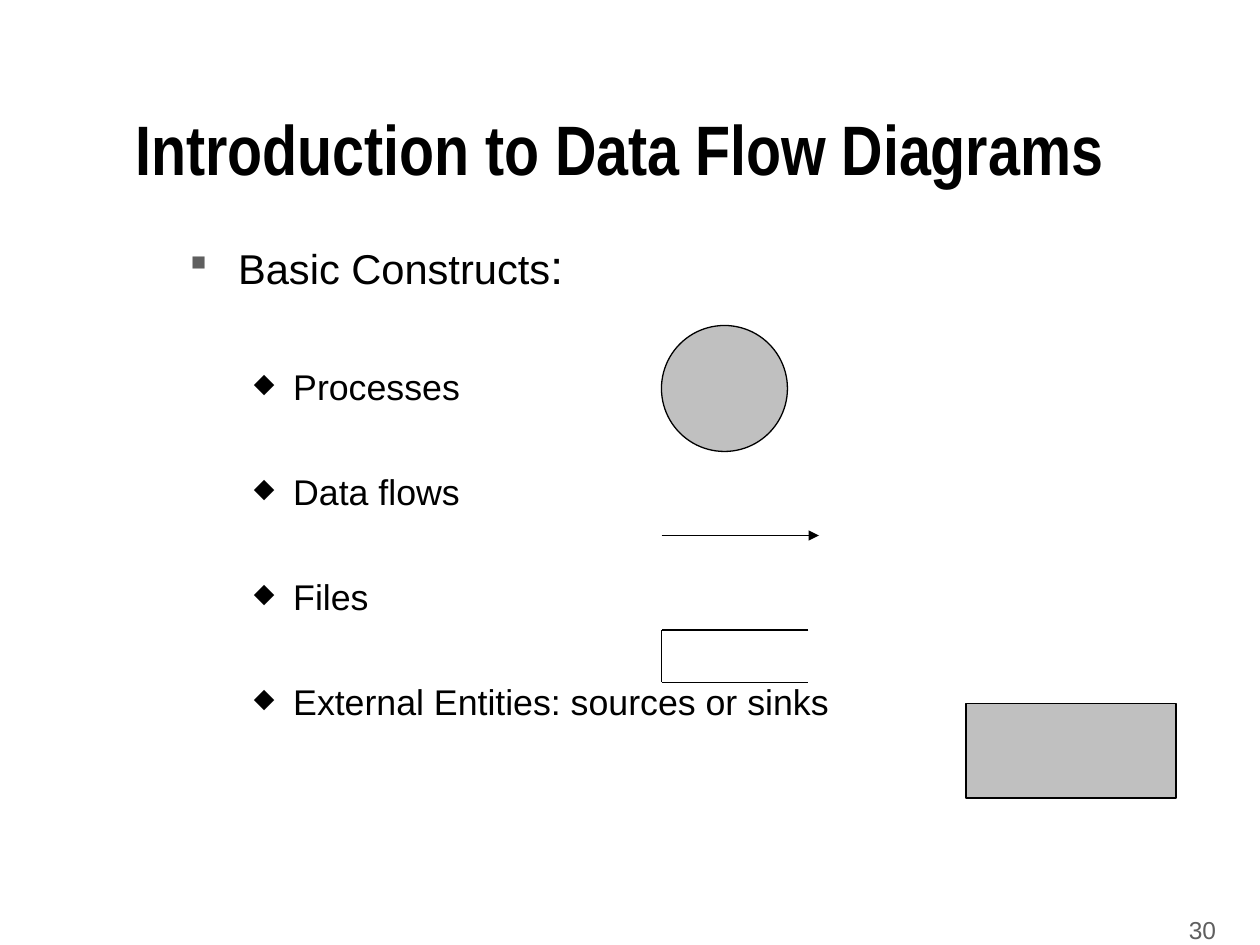
from dataclasses import dataclass

from lxml import etree
from pptx import Presentation
from pptx.dml.color import RGBColor
from pptx.enum.shapes import MSO_CONNECTOR, MSO_SHAPE
from pptx.enum.text import MSO_ANCHOR, MSO_AUTO_SIZE, PP_ALIGN
from pptx.oxml.ns import qn
from pptx.util import Pt

STRAIGHT = MSO_CONNECTOR.STRAIGHT
OVAL, RECTANGLE = MSO_SHAPE.OVAL, MSO_SHAPE.RECTANGLE
TOP, MIDDLE = MSO_ANCHOR.TOP, MSO_ANCHOR.MIDDLE
CENTER, RIGHT = PP_ALIGN.CENTER, PP_ALIGN.RIGHT
NO_AUTOFIT = MSO_AUTO_SIZE.NONE
TITLE_ONLY = 5


@dataclass(frozen=True)
class Theme:
    ink: str = "000000"
    muted: str = "5F5F5F"
    fill: str = "C0C0C0"
    font: str = "Arial"
    title_font: str = "Arial Narrow"
    title_size: float = 40
    heading_size: float = 23.8
    colon_size: float = 27.2
    item_size: float = 20.4
    number_size: float = 14
    line_width: float = 0.75


THEME = Theme()
SYMBOL_LEFT = 378
CONSTRUCTS = ["Processes", "Data flows", "Files", "External Entities: sources or sinks"]
FIRST_ITEM_GAP, ITEM_GAP = 40.4, 35.5


def place(sp, left, top, width, height):
    bounds = {"left": left, "top": top, "width": width, "height": height}
    for name, value in bounds.items():
        setattr(sp, name, Pt(value))


def set_frame(tf, anchor):
    values = {"word_wrap": True, "auto_size": NO_AUTOFIT, "vertical_anchor": anchor}
    for name, value in values.items():
        setattr(tf, name, value)


def add_run(p, text, size, color=THEME.ink, font=THEME.font, bold=False):
    r = p.add_run()
    r.text = text
    for name, value in {"size": Pt(size), "name": font, "bold": bold}.items():
        setattr(r.font, name, value)
    r.font.color.rgb = RGBColor.from_string(color)


def add_text_box(slide, bounds, anchor):
    sp = slide.shapes.add_textbox(*map(Pt, bounds))
    set_frame(sp.text_frame, anchor)
    return sp.text_frame


def set_bullet(p, char, color, percent, margin, hanging):
    pPr = p._p.get_or_add_pPr()
    pPr.set("marL", str(Pt(margin)))
    pPr.set("indent", str(-Pt(hanging)))
    clr = etree.SubElement(pPr, qn("a:buClr"))
    etree.SubElement(clr, qn("a:srgbClr"), val=color)
    etree.SubElement(pPr, qn("a:buSzPct"), val=str(percent * 1000))
    etree.SubElement(pPr, qn("a:buChar"), char=char)


def add_title(slide, text):
    sp = slide.shapes.title
    place(sp, 60, 48, 588, 84)
    set_frame(sp.text_frame, MIDDLE)
    p = sp.text_frame.paragraphs[0]
    p.alignment, p.line_spacing = CENTER, 0.7
    add_run(p, text, THEME.title_size, font=THEME.title_font, bold=True)


def add_construct_list(slide):
    tf = add_text_box(slide, (102, 132, 546, 288), TOP)
    p = tf.paragraphs[0]
    set_bullet(p, "■", THEME.muted, 50, 27, 27)
    add_run(p, "Basic Constructs", THEME.heading_size)
    add_run(p, ":", THEME.colon_size)
    for i, text in enumerate(CONSTRUCTS):
        p = tf.add_paragraph()
        p.level = 1
        p.space_before = Pt(ITEM_GAP if i else FIRST_ITEM_GAP)
        set_bullet(p, "◆", THEME.ink, 75, 58.5, 22.5)
        add_run(p, text, THEME.item_size)


def set_line(line):
    line.color.rgb = RGBColor.from_string(THEME.ink)
    line.width = Pt(THEME.line_width)


def add_symbol(slide, kind, *bounds):
    sp = slide.shapes.add_shape(kind, *map(Pt, bounds))
    sp.shadow.inherit = False
    sp.fill.solid()
    sp.fill.fore_color.rgb = RGBColor.from_string(THEME.fill)
    set_line(sp.line)


def add_line(slide, start, end, arrow=False):
    sp = slide.shapes.add_connector(STRAIGHT, *map(Pt, start + end))
    set_line(sp.line)
    if arrow:
        etree.SubElement(sp.line._get_or_add_ln(), qn("a:tailEnd"), type="triangle")
    etree.SubElement(sp._element.spPr, qn("a:effectLst"))


def add_file_symbol(slide, left, top, right, bottom):
    """Draw a box that is open on its right side."""
    corners = [(right, top), (left, top), (left, bottom), (right, bottom)]
    for start, end in zip(corners, corners[1:]):
        add_line(slide, start, end)


def add_slide_number(slide, text):
    tf = add_text_box(slide, (546, 522, 156, 18), MIDDLE)
    p = tf.paragraphs[0]
    p.alignment = RIGHT
    add_run(p, text, THEME.number_size, THEME.muted)


def main():
    prs = Presentation()
    prs.slide_width, prs.slide_height = Pt(720), Pt(540)
    slide = prs.slides.add_slide(prs.slide_layouts[TITLE_ONLY])
    add_title(slide, "Introduction to Data Flow Diagrams")
    add_construct_list(slide)
    add_symbol(slide, OVAL, SYMBOL_LEFT, 186, 72, 72)
    add_line(slide, (SYMBOL_LEFT, 306), (468, 306), arrow=True)
    add_symbol(slide, RECTANGLE, 552, 402, 120, 54)
    add_file_symbol(slide, SYMBOL_LEFT, 360, 462, 390)
    add_slide_number(slide, "30")
    prs.save("out.pptx")


if __name__ == "__main__":
    main()
